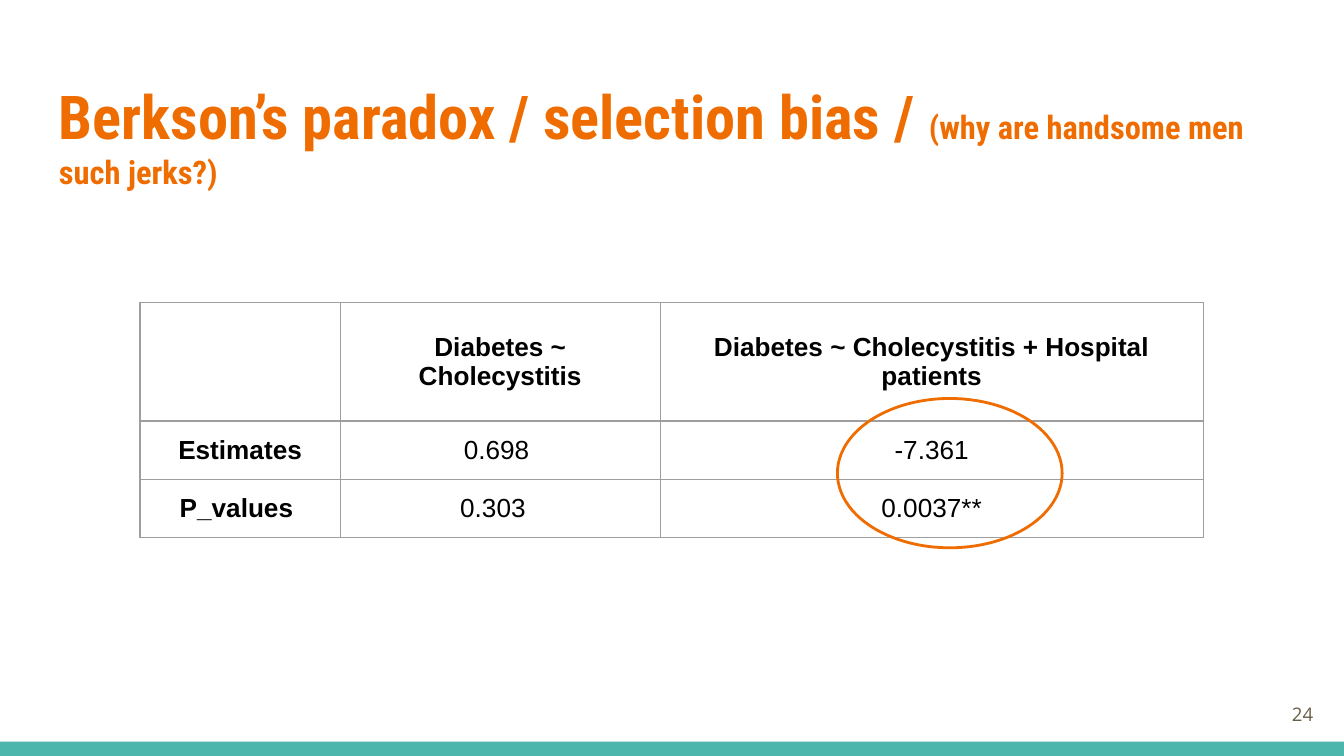
from lxml import etree
from pptx import Presentation
from pptx.dml.color import RGBColor
from pptx.enum.shapes import MSO_SHAPE
from pptx.enum.text import MSO_ANCHOR, PP_ALIGN
from pptx.oxml.ns import qn
from pptx.util import Pt

RECT, OVAL = MSO_SHAPE.RECTANGLE, MSO_SHAPE.OVAL
TOP, MIDDLE = MSO_ANCHOR.TOP, MSO_ANCHOR.MIDDLE
LEFT, CENTER, RIGHT = PP_ALIGN.LEFT, PP_ALIGN.CENTER, PP_ALIGN.RIGHT

ORANGE, TEAL, GREY, BROWN, BLACK = "EF6C00", "4DB6AC", "9E9E9E", "695D46", "000000"
INSET = 7.2

ROWS = [
    ["", "Diabetes ~ Cholecystitis", "Diabetes ~ Cholecystitis + Hospital patients"],
    ["Estimates", "0.698 ", "-7.361"],
    ["P_values ", "0.303  ", "0.0037**"],
]
COL_WIDTHS = [107.3, 171.4, 290.9]
ROW_HEIGHTS = [63.6, 30, 30]


def color(hex_string):
    return RGBColor.from_string(hex_string)


def points(box):
    return [Pt(v) for v in box]


def add_run(p, text, font, size, hex_color, bold=False):
    r = p.add_run()
    r.text = text
    r.font.name, r.font.size, r.font.bold = font, Pt(size), bold
    r.font.color.rgb = color(hex_color)


def add_text(s, box, runs, align=LEFT, anchor=TOP):
    tf = s.shapes.add_textbox(*points(box)).text_frame
    tf.word_wrap = True
    tf.vertical_anchor = anchor
    tf.margin_left = tf.margin_right = tf.margin_top = tf.margin_bottom = Pt(INSET)
    p = tf.paragraphs[0]
    p.alignment = align
    for run in runs:
        add_run(p, *run)


def add_borders(cell):
    tc_pr = cell._tc.get_or_add_tcPr()
    for i, side in enumerate(("a:lnL", "a:lnR", "a:lnT", "a:lnB")):
        ln = etree.Element(qn(side), w=str(Pt(0.75)))
        fill = etree.SubElement(ln, qn("a:solidFill"))
        etree.SubElement(fill, qn("a:srgbClr"), val=GREY)
        tc_pr.insert(i, ln)  # borders come before the cell fill


def add_footer_bar(s, box):
    bar = s.shapes.add_shape(RECT, *points(box))
    bar.shadow.inherit = False
    bar.fill.solid()
    bar.fill.fore_color.rgb = color(TEAL)
    bar.line.fill.background()


def add_title(s, box):
    font = "Roboto Condensed"
    add_text(s, box, [
        ("Berkson’s paradox / selection bias / ", font, 32.4, ORANGE, True),
        ("(why are handsome men such jerks?)", font, 17.4, ORANGE, True),
    ])


def add_results_table(s, left, top):
    box = (left, top, sum(COL_WIDTHS), sum(ROW_HEIGHTS))
    table = s.shapes.add_table(len(ROWS), len(COL_WIDTHS), *points(box)).table
    table.first_row = table.horz_banding = False
    for column, width in zip(table.columns, COL_WIDTHS):
        column.width = Pt(width)
    for row, height in zip(table.rows, ROW_HEIGHTS):
        row.height = Pt(height)
    for i, texts in enumerate(ROWS):
        for j, text in enumerate(texts):
            cell = table.cell(i, j)
            cell.fill.background()
            cell.vertical_anchor = MIDDLE
            cell.margin_left = cell.margin_right = Pt(INSET)
            cell.margin_top = cell.margin_bottom = Pt(INSET)
            add_borders(cell)
            if text:
                p = cell.text_frame.paragraphs[0]
                p.alignment = CENTER
                add_run(p, text, "Arial", 14, BLACK, i == 0 or j == 0)


def add_highlight(s, box):
    ring = s.shapes.add_shape(OVAL, *points(box))
    ring.shadow.inherit = False
    ring.fill.background()
    ring.line.color.rgb = color(ORANGE)
    ring.line.width = Pt(1.5)


def main():
    prs = Presentation()
    prs.slide_width, prs.slide_height = Pt(720), Pt(405)
    s = prs.slides.add_slide(prs.slide_layouts[6])

    add_footer_bar(s, (0, 397.4, 720, 7.6))
    add_title(s, (24.5, 35.3, 671, 55.4))
    add_results_table(s, 75, 162)
    # Ring around the significant result
    add_highlight(s, (448.6, 213.5, 120.4, 80))
    # Slide number
    add_text(s, (667.4, 367.2, 43.2, 31), [("24", "Open Sans", 10, BROWN)], RIGHT, MIDDLE)

    prs.save("out.pptx")


if __name__ == "__main__":
    main()
